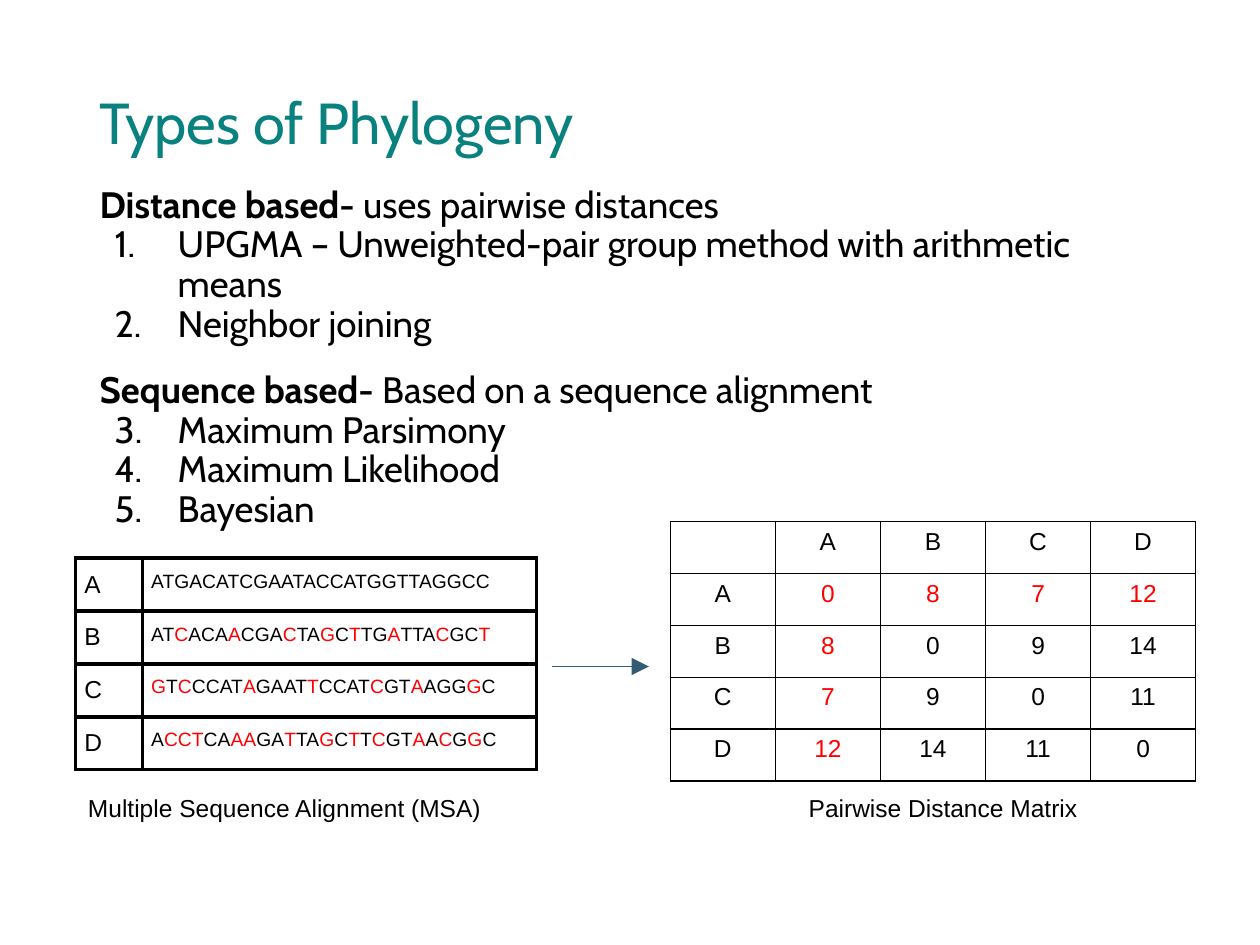
from dataclasses import dataclass
from itertools import groupby

from lxml.etree import SubElement as Sub
from pptx import Presentation
from pptx.dml.color import RGBColor as RGB
from pptx.enum.shapes import MSO_CONNECTOR as Conn
from pptx.enum.text import MSO_ANCHOR as Anchor, MSO_AUTO_SIZE as Fit, PP_ALIGN as Align
from pptx.oxml import parse_xml
from pptx.oxml.ns import nsdecls, qn
from pptx.util import Inches, Pt


@dataclass(frozen=True)
class Theme:
    black: str = "000000"
    red: str = "FF0000"
    teal: str = "08817F"
    blue: str = "335B74"
    head: str = "Cabin"
    plain: str = "Arial"
    title: int = 33
    body: int = 21
    label: int = 14
    gene: int = 11


THEME = Theme()
LISTS = [
    ("Distance based- ", "uses pairwise distances", 1,
     ["UPGMA – Unweighted-pair group method with arithmetic means", "Neighbor joining"]),
    ("Sequence based- ", "Based on a sequence alignment", 3,
     ["Maximum Parsimony", "Maximum Likelihood", "Bayesian"]),
]
NAMES = "ABCD"
# Lowercase letters mark the bases shown in red.
GENES = [
    "ATGACATCGAATACCATGGTTAGGCC",
    "ATcACAaCGAcTAgCtTGaTTAcGCt",
    "GTCCCATAGAATTCCATCGTAAGGGC",
    "AcctCAaaGAtTAgCtTcGTaAcGgC",
]
GENES[2] = "gTcCCATaGAATtCCATcGTaAGGgC"
GAPS = [[0, 8, 7, 12], [8, 0, 9, 14], [7, 9, 0, 11], [12, 14, 11, 0]]


def write(para, text, size=THEME.label, font=THEME.plain, color=THEME.black,
          bold=False, align=Align.LEFT, space=None):
    para.alignment = align
    if space:
        para.line_spacing = space
        para.space_before = para.space_after = Pt(0)
    run = para.add_run()
    run.text = text
    run.font.size = Pt(size)
    run.font.name = font
    run.font.bold = bold
    run.font.color.rgb = RGB.from_string(color)


def place(shape, left, top, width, height):
    shape.left, shape.top = Inches(left), Inches(top)
    shape.width, shape.height = Inches(width), Inches(height)


def number(para, start):
    props = para._p.get_or_add_pPr()
    props.set("marL", str(Inches(0.62) if start else 0))
    props.set("indent", str(Inches(-0.5) if start else 0))
    if start:
        Sub(Sub(props, qn("a:buClr")), qn("a:srgbClr"), val=THEME.black)
        Sub(props, qn("a:buFont"), typeface=THEME.head)
        Sub(props, qn("a:buAutoNum"), type="arabicPeriod", startAt=str(start))
    else:
        Sub(props, qn("a:buNone"))


def add_title(slide):
    shape = slide.shapes.title
    place(shape, 0.69, 0.4, 8.62, 1.2)
    frame = shape.text_frame
    frame.vertical_anchor = Anchor.MIDDLE
    frame.auto_size = Fit.NONE
    write(frame.paragraphs[0], "Types of Phylogeny", size=THEME.title,
          font=THEME.head, color=THEME.teal, space=0.9)


def add_list(slide):
    shape = slide.placeholders[1]
    place(shape, 0.69, 1.22, 8.62, 4.81)
    frame = shape.text_frame
    frame.auto_size = Fit.NONE
    look = dict(size=THEME.body, font=THEME.head)
    para = frame.paragraphs[0]
    for name, note, start, items in LISTS:
        para = para or frame.add_paragraph()
        number(para, 0)
        write(para, name, bold=True, space=1.5, **look)
        write(para, note, space=1.5, **look)
        for item in items:
            para = frame.add_paragraph()
            number(para, start)
            write(para, item, space=0.9, **look)
        para = None


def edge(cell, width):
    props = cell._tc.get_or_add_tcPr()
    for spot, side in enumerate(("lnL", "lnR", "lnT", "lnB")):
        props.insert(spot, parse_xml(
            f'<a:{side} {nsdecls("a")} w="{Pt(width)}"><a:solidFill>'
            f'<a:srgbClr val="{THEME.black}"/></a:solidFill></a:{side}>'))


def add_grid(slide, left, top, widths, high, rows, line, pad):
    shape = slide.shapes.add_table(rows, len(widths), Inches(left), Inches(top),
                                   Inches(sum(widths)), Inches(high * rows))
    grid = shape.table
    grid.first_row = grid.horz_banding = False
    for col, width in zip(grid.columns, widths):
        col.width = Inches(width)
    for row in grid.rows:
        row.height = Inches(high)
    for cell in grid.iter_cells():
        cell.fill.background()
        edge(cell, line)
        cell.margin_left = cell.margin_right = Inches(pad[0])
        cell.margin_top = cell.margin_bottom = Inches(pad[1])
    return grid


def add_matrix(slide):
    grid = add_grid(slide, 5.32, 4.14, [4.17 / 5] * 5, 2.06 / 5, 5, 1, (0.1, 0.05))
    rows = [["", *NAMES]] + [[name, *gaps] for name, gaps in zip(NAMES, GAPS)]
    for r, row in enumerate(rows):
        for c, value in enumerate(row):
            near = r and c and 1 in (r, c)
            write(grid.cell(r, c).text_frame.paragraphs[0], str(value),
                  color=THEME.red if near else THEME.black, align=Align.CENTER)


def add_genes(slide):
    grid = add_grid(slide, 0.6, 4.43, [0.53, 3.13], 0.42, 4, 2.25, (0.07, 0.1))
    for r, (name, gene) in enumerate(zip(NAMES, GENES)):
        write(grid.cell(r, 0).text_frame.paragraphs[0], name)
        para = grid.cell(r, 1).text_frame.paragraphs[0]
        for red, part in groupby(gene, str.islower):
            write(para, "".join(part).upper(), size=THEME.gene,
                  color=THEME.red if red else THEME.black)


def add_note(slide, text, left, width):
    frame = slide.shapes.add_textbox(Inches(left), Inches(6.19),
                                     Inches(width), Inches(0.37)).text_frame
    frame.word_wrap = True
    frame.margin_top = frame.margin_bottom = Inches(0.1)
    write(frame.paragraphs[0], text)


def add_arrow(slide):
    y = Inches(5.29)
    arrow = slide.shapes.add_connector(Conn.STRAIGHT, Inches(4.38), y, Inches(5.15), y)
    arrow.line.color.rgb = RGB.from_string(THEME.blue)
    arrow.line.width = Pt(0.75)
    Sub(arrow.line._get_or_add_ln(), qn("a:tailEnd"), type="triangle", w="lg", len="lg")
    Sub(arrow._element.spPr, qn("a:effectLst"))


def main():
    deck = Presentation()
    deck.slide_width, deck.slide_height = Inches(10), Inches(7.5)
    slide = deck.slides.add_slide(deck.slide_layouts[1])
    add_title(slide)
    add_list(slide)
    add_matrix(slide)
    add_genes(slide)
    add_note(slide, "Multiple Sequence Alignment (MSA)", 0.6, 3.76)
    add_arrow(slide)
    add_note(slide, "Pairwise Distance Matrix", 6.32, 2.5)
    deck.save("out.pptx")


if __name__ == "__main__":
    main()
